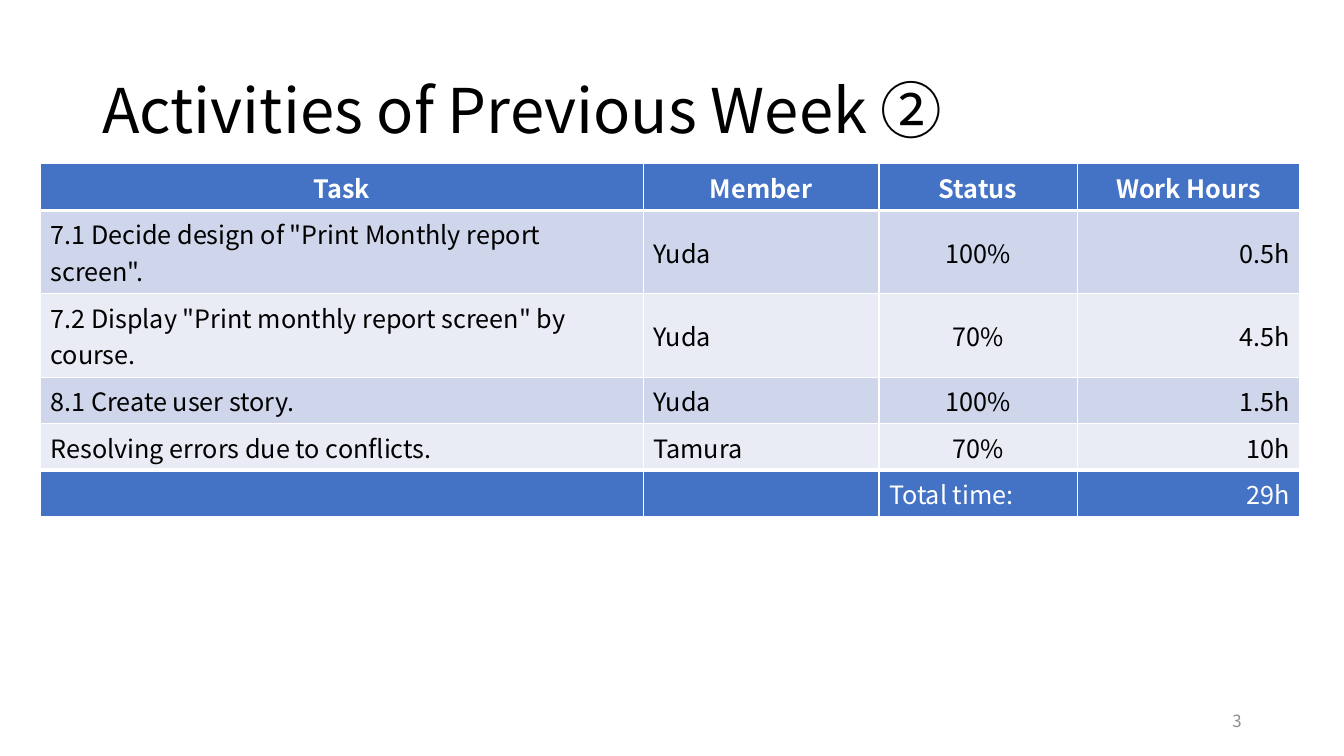
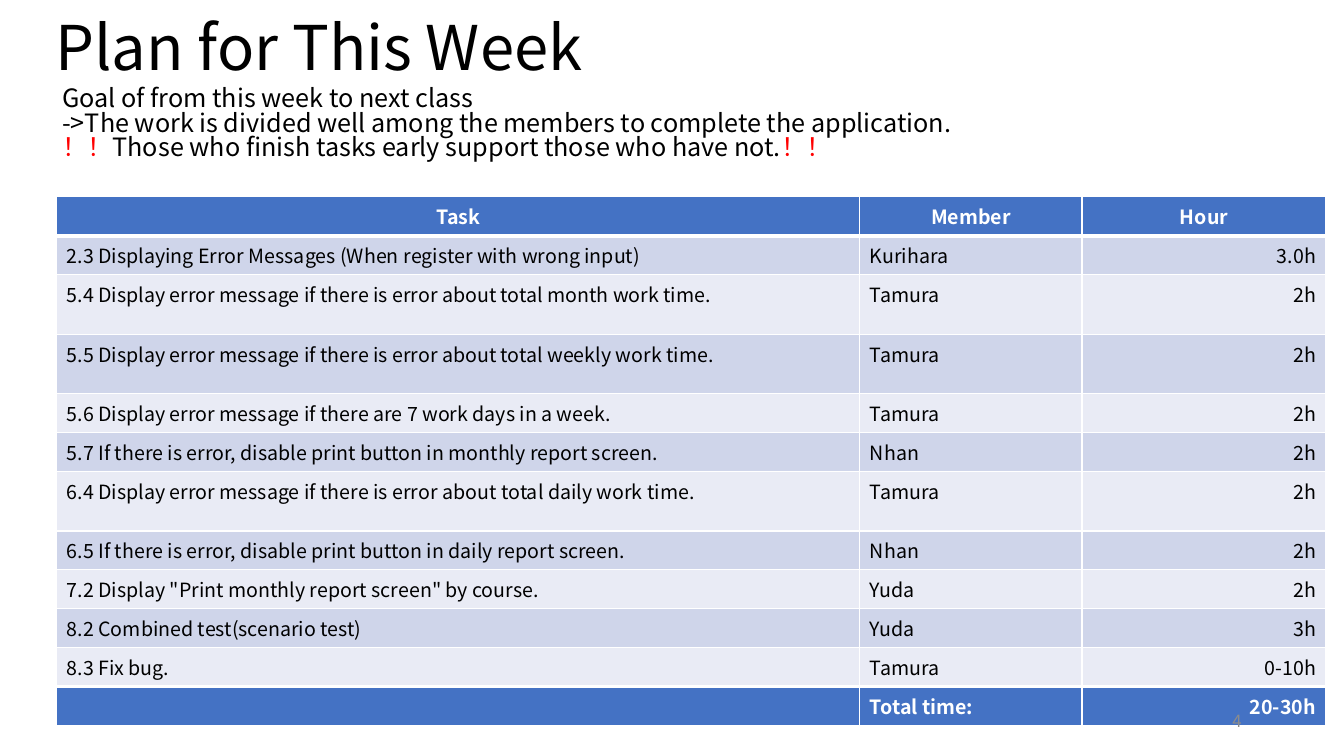
"""Build two weekly report slides: finished activities and the plan ahead."""
from dataclasses import dataclass

from lxml import etree
from pptx import Presentation
from pptx import util as u
from pptx.dml.color import RGBColor
from pptx.enum import text
from pptx.oxml import ns

Cm, Pt = u.Cm, u.Pt
LEFT, CENTER, RIGHT = text.PP_ALIGN.LEFT, text.PP_ALIGN.CENTER, text.PP_ALIGN.RIGHT
TOP, MIDDLE = text.MSO_ANCHOR.TOP, text.MSO_ANCHOR.MIDDLE


@dataclass(frozen=True)
class Theme:
    """Colours, type and line widths shared by the slides."""
    font: str = "Noto Sans CJK JP"
    ink: str = "000000"
    paper: str = "FFFFFF"
    accent: str = "4472C4"
    bands: tuple = ("CFD5EA", "E9EBF5")
    alert: str = "FF0000"
    muted: str = "8C8C8C"
    title: int = 44
    body: int = 18
    small: int = 14
    footer: int = 12
    rule: int = 1
    heavy_rule: int = 3


T = Theme()

ACTIVITIES = [
    ("Task", "Member", "Status", "Work Hours"),
    ('7.1 Decide design of "Print Monthly report screen".', "Yuda", "100%", "0.5h"),
    ('7.2 Display "Print monthly report screen" by course.', "Yuda", "70%", "4.5h"),
    ("8.1 Create user story.", "Yuda", "100%", "1.5h"),
    ("Resolving errors due to conflicts.", "Tamura", "70%", "10h"),
    ("", "", "Total time:", "29h"),
]

PLAN = [
    ("Task", "Member", "Hour"),
    ("2.3 Displaying Error Messages (When\u00a0register\u00a0with wrong input)", "Kurihara", "3.0h"),
    ("5.4 Display error message if there is error about total month work time.", "Tamura", "2h"),
    ("5.5 Display error message if there is error about total weekly work time.", "Tamura", "2h"),
    ("5.6 Display error message if there are 7 work days in a week.", "Tamura", "2h"),
    ("5.7 If there is error, disable print button in monthly report screen.", "Nhan", "2h"),
    ("6.4 Display error message if there is error about\u00a0total daily work time.", "Tamura", "2h"),
    ("6.5 If there is error, disable print button in daily report screen.", "Nhan", "2h"),
    ('7.2 Display "Print monthly report screen" by course.', "Yuda", "2h"),
    ("8.2 Combined test(scenario test)", "Yuda", "3h"),
    ("8.3 Fix bug.", "Tamura", "0-10h"),
    ("", "Total time:", "20-30h"),
]

GOAL = [
    [("Goal of from this week to next class", T.ink)],
    [("->The work is divided well among the members to complete the application.", T.ink)],
    [("！！", T.alert), ("Those who finish tasks early support those who have not.", T.ink),
     ("！！", T.alert)],
]


def rgb(color):
    """Turn a hex string into a colour."""
    return RGBColor.from_string(color)


def style(p, size, color=T.ink, align=LEFT, bold=False):
    """Format a paragraph, for Latin and East Asian characters alike."""
    p.alignment = align
    p.font.size, p.font.bold = Pt(size), bold
    p.font.color.rgb = rgb(color)
    p.font.name = T.font
    etree.SubElement(p.font._rPr, ns.qn("a:ea"), typeface=T.font)


def add_titled_slide(prs, title, left, top):
    """Add a slide and place its title."""
    s = prs.slides.add_slide(prs.slide_layouts[5])
    sp = s.shapes.title
    sp.left, sp.top, sp.width, sp.height = Cm(left), Cm(top), Cm(29.21), Cm(3.69)
    tf = sp.text_frame
    tf.text, tf.vertical_anchor = title, MIDDLE
    p = tf.paragraphs[0]
    style(p, T.title)
    p.line_spacing = 0.9
    return s


def add_text_box(s, box, anchor=TOP):
    """Add a wrapping text box and return its text frame."""
    tf = s.shapes.add_textbox(*map(Cm, box)).text_frame
    tf.word_wrap, tf.vertical_anchor = True, anchor
    return tf


def add_page_number(s, number):
    """Add the page number at the lower right."""
    tf = add_text_box(s, (23.92, 17.65, 7.62, 1.02), MIDDLE)
    tf.text = str(number)
    style(tf.paragraphs[0], T.footer, T.muted, RIGHT)


def add_goal(s):
    """Add the goal of the week with its highlighted marks."""
    tf = add_text_box(s, (1.32, 2.08, 25.3, 2.57))
    for i, runs in enumerate(GOAL):
        p = tf.add_paragraph() if i else tf.paragraphs[0]
        style(p, T.body)
        p.line_spacing = 0.82
        for words, color in runs:
            r = p.add_run()
            r.text = words
            if color != T.ink:
                r.font.color.rgb = rgb(color)


def add_borders(cell, top, bottom):
    """Draw white cell borders with the given horizontal line widths."""
    tc_pr = cell._tc.get_or_add_tcPr()
    for side, width in zip("LRTB", (T.rule, T.rule, top, bottom)):
        ln = etree.SubElement(tc_pr, ns.qn(f"a:ln{side}"), w=str(Pt(width)))
        fill = etree.SubElement(ln, ns.qn("a:solidFill"))
        etree.SubElement(fill, ns.qn("a:srgbClr"), val=T.paper)


def add_task_table(s, rows, left, top, widths, heights, aligns, size, anchor, bold_total):
    """Add a banded table with a header row and a total row."""
    last = len(rows) - 1
    table = s.shapes.add_table(len(rows), len(widths), Cm(left), Cm(top),
                               Cm(sum(widths)), Cm(sum(heights))).table
    for column, width in zip(table.columns, widths):
        column.width = Cm(width)
    edges = [T.heavy_rule if i in (1, last) else T.rule for i in range(last + 2)]
    for i, values in enumerate(rows):
        table.rows[i].height = Cm(heights[i])
        header, total = i == 0, i == last
        for j, value in enumerate(values):
            cell = table.cell(i, j)
            add_borders(cell, edges[i], edges[i + 1])
            cell.fill.solid()
            cell.fill.fore_color.rgb = rgb(T.accent if header or total else T.bands[(i - 1) % 2])
            cell.vertical_anchor = anchor
            cell.text = value
            p = cell.text_frame.paragraphs[0]
            align = CENTER if header else LEFT if value == "Total time:" else aligns[j]
            style(p, size, T.paper if header or total else T.ink, align,
                  header or (total and bold_total))
            if not value:
                p._p.get_or_add_endParaRPr().set("sz", str(size * 100))


def row_heights(rows, normal, tall, tall_rows):
    """List the row heights, with the tall rows picked by index."""
    return [tall if i in tall_rows else normal for i in range(len(rows))]


def main():
    """Build and save the presentation."""
    prs = Presentation()
    prs.slide_width, prs.slide_height = Cm(33.87), Cm(19.05)

    s = add_titled_slide(prs, "Activities of Previous Week ②", 2.33, 1.01)
    add_task_table(s, ACTIVITIES, 1.02, 4.13, (15.19, 5.94, 5, 5.61),
                   row_heights(ACTIVITIES, 1.17, 2.1, (1, 2)),
                   (LEFT, LEFT, CENTER, RIGHT), T.body, MIDDLE, False)
    add_page_number(s, 3)

    s = add_titled_slide(prs, "Plan for This Week", 1.14, -0.56)
    add_task_table(s, PLAN, 1.43, 4.96, (20.24, 5.6, 6.15),
                   row_heights(PLAN, 0.98, 1.5, (2, 3, 6)),
                   (LEFT, LEFT, RIGHT), T.small, TOP, True)
    add_page_number(s, 4)
    add_goal(s)

    prs.save("out.pptx")


main()
